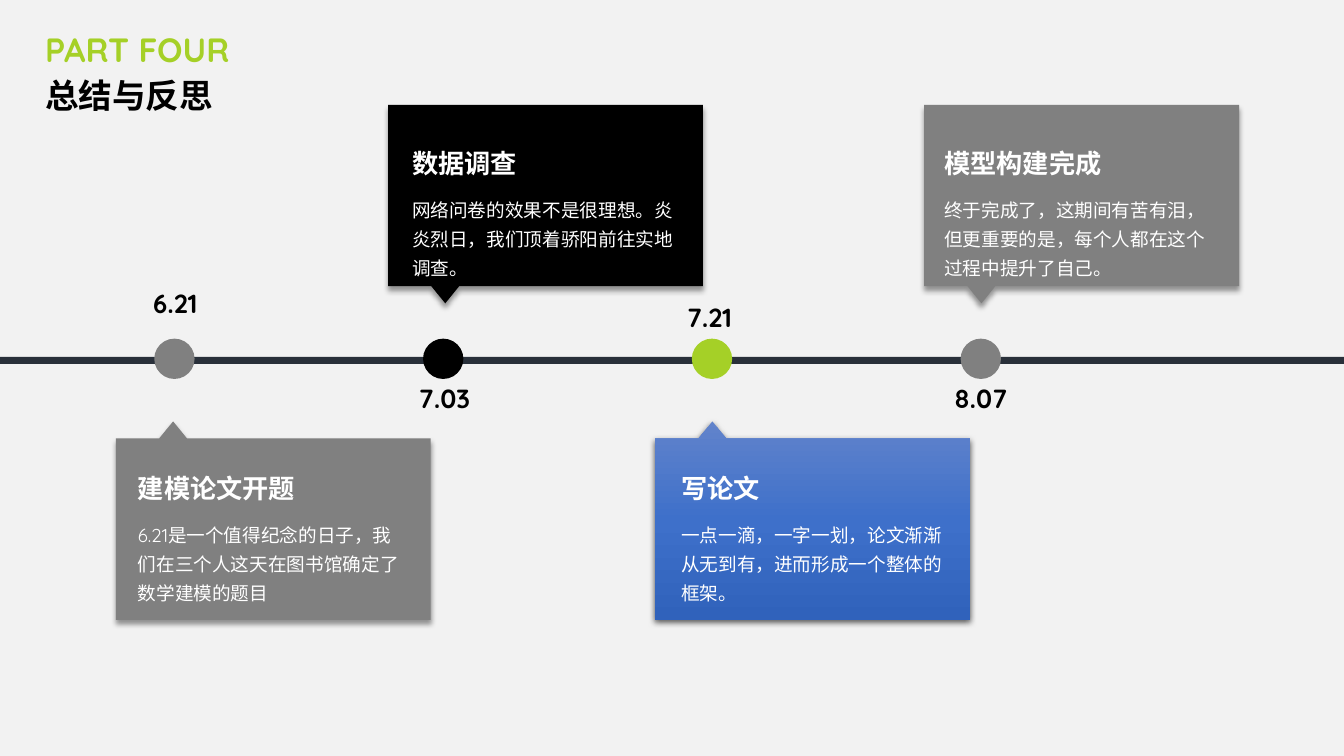
from copy import deepcopy
from dataclasses import dataclass

from lxml.etree import SubElement
from pptx import Presentation
from pptx.dml.color import RGBColor
from pptx.dml.fill import FillFormat
from pptx.enum.shapes import MSO_SHAPE as Preset
from pptx.enum.text import MSO_AUTO_SIZE as AutoSize, PP_ALIGN as Align
from pptx.oxml.ns import qn
from pptx.shapes.autoshape import Shape
from pptx.slide import Slide
from pptx.util import Pt

FONT = "Quicksand"
BLACK, WHITE, GRAY, GREEN = "000000", "FFFFFF", "808080", "A5D027"
BLUE_GRADIENT = ("6183CB", "3E70CA", "3062BB")
SLIDE_WIDTH, SLIDE_HEIGHT = 960, 540
CARD_WIDTH, CARD_HEIGHT, POINTER_HEIGHT = 224.9, 129.6, 12.2
POINTER_LEFT, POINTER_TIP, POINTER_RIGHT = 30.9, 40.9, 50.8
DOT_SIZE, DOT_TOP, FIRST_DOT_LEFT, DOT_STEP = 28.8, 241.9, 110.2, 192


@dataclass(frozen=True)
class Shadow:
    opacity: int
    blur: float
    distance: float


SOFT_SHADOW = Shadow(40, 4, 3)
STRONG_SHADOW = Shadow(63, 4.5, 1.5)


@dataclass(frozen=True)
class Milestone:
    date: str
    date_left: float
    date_top: float
    dot_color: str
    heading: str
    body: str
    card_left: float
    text_left: float
    above: bool
    card_colors: tuple[str, ...]
    shadow: Shadow = SOFT_SHADOW


MILESTONES = [
    Milestone("6.21", 97.9, 201.6, GRAY, "建模论文开题",
              "6.21是一个值得纪念的日子，我们在三个人这天在图书馆确定了数学建模的题目",
              82.8, 91.4, False, (GRAY,)),
    Milestone("7.03", 290.2, 269.5, BLACK, "数据调查",
              "网络问卷的效果不是很理想。炎炎烈日，我们顶着骄阳前往实地调查。",
              277.2, 287.3, True, (BLACK,)),
    Milestone("7.21", 479.5, 211.7, GREEN, "写论文",
              "一点一滴，一字一划，论文渐渐从无到有，进而形成一个整体的框架。",
              468, 479.5, False, BLUE_GRADIENT, STRONG_SHADOW),
    Milestone("8.07", 673.2, 269.5, GRAY, "模型构建完成",
              "终于完成了，这期间有苦有泪，但更重要的是，每个人都在这个过程中提升了自己。",
              660.2, 667.4, True, (GRAY,)),
]


def rgb(color: str) -> RGBColor:
    return RGBColor.from_string(color)


def set_solid(fill: FillFormat, color: str) -> None:
    fill.solid()
    fill.fore_color.rgb = rgb(color)


def set_gradient(shape: Shape, colors: tuple[str, ...]) -> None:
    """Fill from top to bottom with three evenly spaced colours."""
    shape.fill.gradient()
    shape.fill.gradient_angle = 270
    stop_list = shape._element.spPr.find(".//" + qn("a:gsLst"))
    stop_list.insert(1, deepcopy(stop_list[0]))
    for index, (stop, color) in enumerate(zip(shape.fill.gradient_stops, colors)):
        stop.position = index / (len(colors) - 1)
        stop.color.rgb = rgb(color)


def add_shadow(shape: Shape, shadow: Shadow) -> None:
    """Cast a black shadow straight down."""
    effects = shape._element.spPr.find(qn("a:effectLst"))
    outer = SubElement(effects, qn("a:outerShdw"), blurRad=str(Pt(shadow.blur)),
                       dist=str(Pt(shadow.distance)), dir="5400000",
                       algn="t", rotWithShape="0")
    color = SubElement(outer, qn("a:srgbClr"), val=BLACK)
    SubElement(color, qn("a:alpha"), val=str(shadow.opacity * 1000))


def add_text(slide: Slide, text: str, left: float, top: float, width: float,
             height: float, *, size: float = 18.7, color: str = BLACK,
             bold: bool = True, wrap: bool = False, align: Align = Align.LEFT,
             line_spacing: float = 1.0) -> None:
    box = slide.shapes.add_textbox(Pt(left), Pt(top), Pt(width), Pt(height))
    frame = box.text_frame
    frame.word_wrap = wrap
    frame.auto_size = AutoSize.NONE
    paragraph = frame.paragraphs[0]
    paragraph.text = text
    paragraph.alignment = align
    paragraph.line_spacing = line_spacing
    font = paragraph.font
    font.name, font.size, font.bold = FONT, Pt(size), bold
    font.color.rgb = rgb(color)


def add_preset(slide: Slide, preset: Preset, left: float, top: float,
               width: float, height: float, color: str) -> None:
    shape = slide.shapes.add_shape(preset, Pt(left), Pt(top), Pt(width), Pt(height))
    shape.shadow.inherit = False
    shape.line.fill.background()
    set_solid(shape.fill, color)


def add_card(slide: Slide, milestone: Milestone) -> None:
    """Draw a box whose pointer faces the timeline, with its texts."""
    left = milestone.card_left
    right = left + CARD_WIDTH
    if milestone.above:
        near, far, tip = 74.9 + CARD_HEIGHT, 74.9, 74.9 + CARD_HEIGHT + POINTER_HEIGHT
        heading_top = 101.5
    else:
        near, far, tip = 313.2, 313.2 + CARD_HEIGHT, 313.2 - POINTER_HEIGHT
        heading_top = 334.1
    outline = [(left + POINTER_TIP, tip), (left + POINTER_RIGHT, near), (right, near),
               (right, far), (left, far), (left, near), (left + POINTER_LEFT, near)]
    start, *others = [(Pt(x), Pt(y)) for x, y in outline]
    builder = slide.shapes.build_freeform(*start)
    builder.add_line_segments(others, close=True)
    card = builder.convert_to_shape()
    card.shadow.inherit = False
    card.line.fill.background()
    if len(milestone.card_colors) == 1:
        set_solid(card.fill, milestone.card_colors[0])
    else:
        set_gradient(card, milestone.card_colors)
    add_shadow(card, milestone.shadow)

    add_text(slide, milestone.body, milestone.text_left, heading_top + 32, 207.4, 70.6,
             size=13.3, color=WHITE, bold=False, wrap=True, line_spacing=1.3)
    add_text(slide, milestone.heading, milestone.text_left, heading_top,
             14.4 + 18.7 * len(milestone.heading), 30.2, color=WHITE)


def main() -> None:
    presentation = Presentation()
    presentation.slide_width = Pt(SLIDE_WIDTH)
    presentation.slide_height = Pt(SLIDE_HEIGHT)
    slide = presentation.slides.add_slide(presentation.slide_layouts[6])
    set_solid(slide.background.fill, "F2F2F2")

    add_text(slide, "PART FOUR", 25.2, 20.2, 276.5, 33.1,
             size=24, color=GREEN, wrap=True, line_spacing=0.9)
    add_text(slide, "总结与反思", 25.2, 53.3, 276.5, 41.8,
             size=24, wrap=True, line_spacing=0.9)

    add_preset(slide, Preset.RECTANGLE, 0, 254.9, SLIDE_WIDTH, 5, "29303A")
    for index, milestone in enumerate(MILESTONES):
        add_preset(slide, Preset.OVAL, FIRST_DOT_LEFT + index * DOT_STEP, DOT_TOP,
                   DOT_SIZE, DOT_SIZE, milestone.dot_color)
        add_card(slide, milestone)
        add_text(slide, milestone.date, milestone.date_left, milestone.date_top,
                 54.7, 30.2, align=Align.CENTER)

    presentation.save("out.pptx")


if __name__ == "__main__":
    main()
